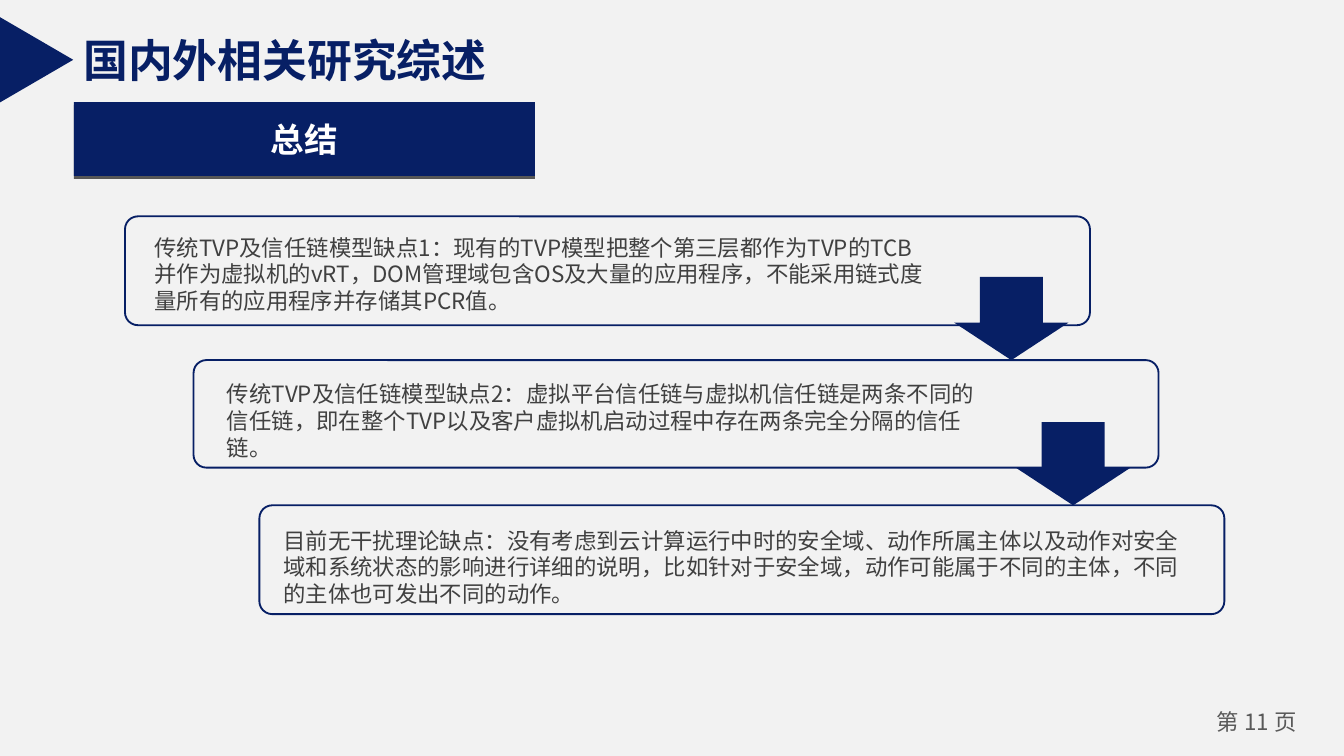
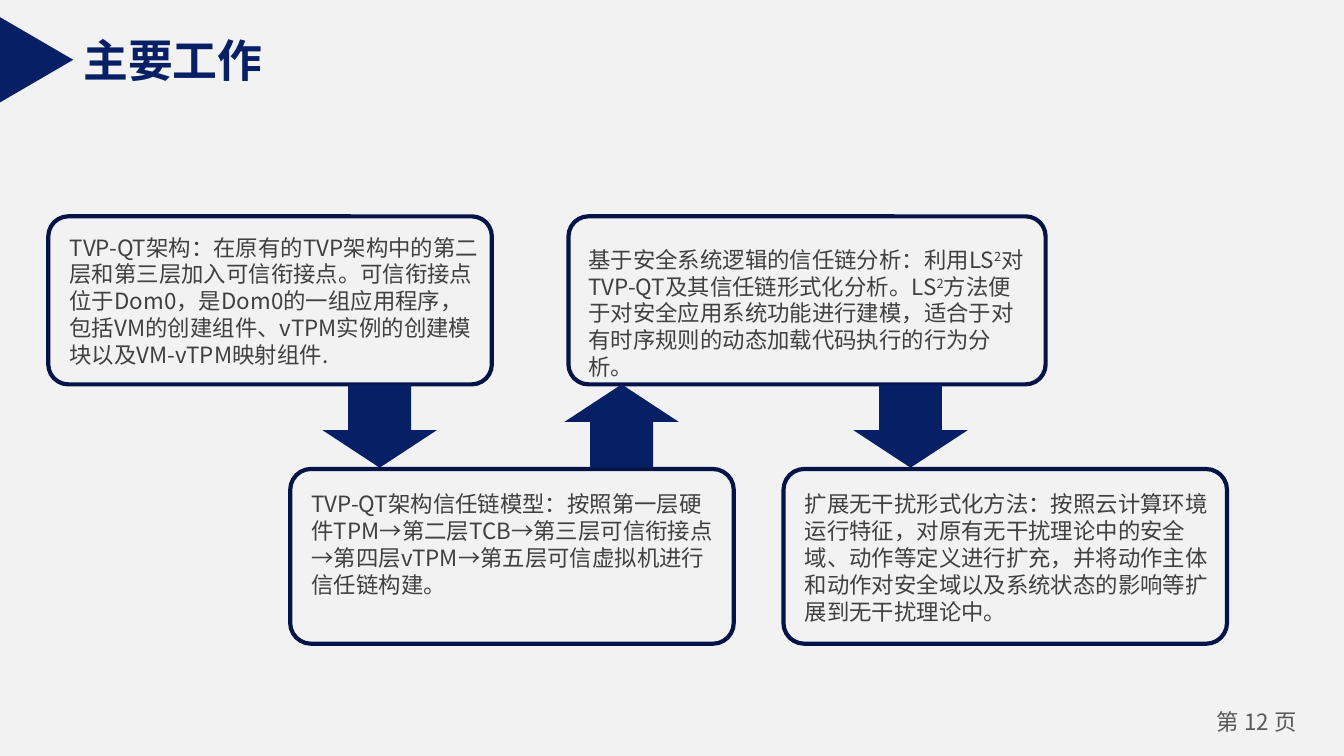
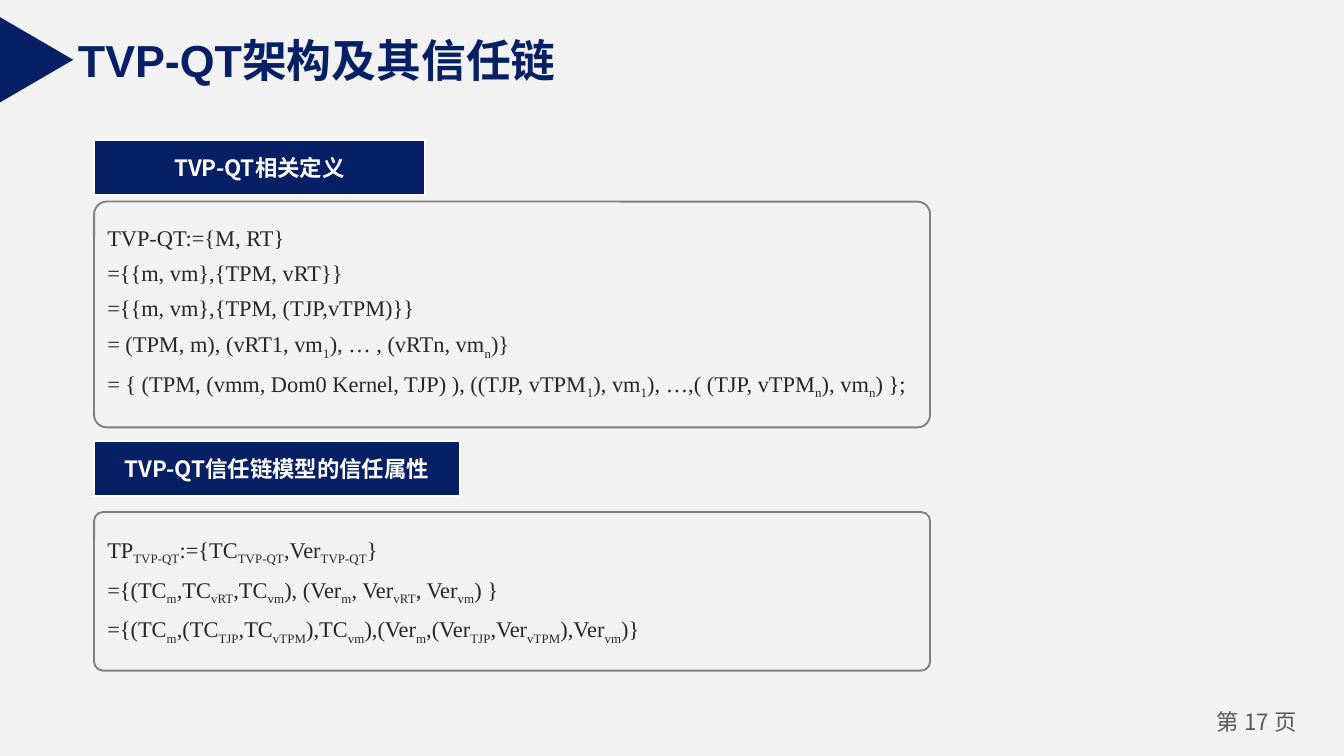
"""Build three slides on trust chain research."""
from lxml.etree import SubElement
from pptx import Presentation
from pptx.dml.color import RGBColor
from pptx.enum.shapes import MSO_SHAPE
from pptx.enum.text import MSO_ANCHOR, MSO_AUTO_SIZE, PP_ALIGN
from pptx.oxml.ns import qn
from pptx.util import Inches, Pt

HUES = {"navy": "071F65", "dark": "041448", "pale": "F2F2F2", "white": "FFFFFF",
        "body": "404040", "ink": "262626", "gray": "7F7F7F", "page": "595959"}
HUES = {name: RGBColor.from_string(code) for name, code in HUES.items()}
SANS = "Noto Sans CJK SC"


def draw(slide, kind, box, fill=None, line=None, width=1, adjs=()):
    shape = slide.shapes.add_shape(kind, *map(Inches, box))
    shape.shadow.inherit = False
    if fill:
        shape.fill.solid()
        shape.fill.fore_color.rgb = HUES[fill]
    else:
        shape.fill.background()
    if line:
        shape.line.color.rgb = HUES[line]
        shape.line.width = Pt(width)
    else:
        shape.line.fill.background()
    for i, adj in enumerate(adjs):
        shape.adjustments[i] = adj
    return shape


def write(shape, text, hue="body", size=12, font=SANS, bold=False,
          align=PP_ALIGN.LEFT, shift=0):
    """Set the text; parts between bars are raised or lowered by shift."""
    frame = shape.text_frame
    frame.word_wrap = True
    frame.text = text.replace("|", "")
    for para, row in zip(frame.paragraphs, text.split("\n")):
        para.alignment = align
        para._p.get_or_add_pPr().set("hangingPunct", "0")
        parts = row.split("|")
        para.text = parts[0]
        for part in parts[1:]:
            para.add_run().text = part
        for i, run in enumerate(para.runs):
            run.font.size, run.font.bold = Pt(size), bold
            run.font.name = font
            run.font.color.rgb = HUES[hue]
            props = run.font._element
            SubElement(props, qn("a:ea"), typeface=SANS)
            if i % 2:
                props.set("baseline", str(shift * 1000))
    return frame


deck = Presentation()
deck.slide_width = Inches(10)
deck.slide_height = deck.slide_width * 9 // 16
back = deck.slide_master.background.fill
back.solid()
back.fore_color.rgb = HUES["pale"]

heads = [("国内外相关研究综述", 0.52, 3.3, 11), ("主要工作", 0.52, 1.63, 12),
         ("TVP-QT架构及其信任链", 0.48, 3.9, 17)]
for text, left, width, page in heads:
    slide = deck.slides.add_slide(deck.slide_layouts[5])
    title = slide.shapes.title
    title.left, title.top = Inches(left), Inches(0.19)
    title.width, title.height = Inches(width), Inches(0.5)
    frame = write(title, text, "navy", 24, "Arial", True)
    frame.word_wrap = False
    frame.auto_size = MSO_AUTO_SIZE.SHAPE_TO_FIT_TEXT
    frame.vertical_anchor = MSO_ANCHOR.TOP
    frame.paragraphs[0].space_before = Pt(6)
    mark = draw(slide, MSO_SHAPE.ISOSCELES_TRIANGLE, (-0.05, 0.17, 0.64, 0.55), "navy")
    mark.rotation = 90
    foot = slide.shapes.add_textbox(*map(Inches, (8.9, 5.23, 0.9, 0.3)))
    frame = write(foot, f"第 {page} 页", "page", align=PP_ALIGN.CENTER)
    frame.margin_left = frame.margin_right = Inches(0.08)
    frame.margin_top = frame.margin_bottom = Inches(0.04)

past, work, defs = deck.slides

band = draw(past, MSO_SHAPE.RECTANGLE, (0.55, 0.76, 3.43, 0.55), "navy")
write(band, "总结", "white", 18, bold=True, align=PP_ALIGN.CENTER)
band.text_frame.vertical_anchor = MSO_ANCHOR.MIDDLE
glow = SubElement(band._element.spPr.find(qn("a:effectLst")), qn("a:outerShdw"),
                  blurRad="0", dist=str(Pt(1.5)), dir="5400000", rotWithShape="0")
tint = SubElement(glow, qn("a:srgbClr"), val="000000")
SubElement(tint, qn("a:alpha"), val="63000")

cards = [
    (past, (0.93, 1.61, 7.18, 0.81), (1.05, 1.69, 5.94, 0.7),
     "传统TVP及信任链模型缺点1：现有的TVP模型把整个第三层都作为TVP的TCB并作为虚拟机的vRT，"
     "DOM管理域包含OS及大量的应用程序，不能采用链式度量所有的应用程序并存储其PCR值。"),
    (past, (1.44, 2.68, 7.18, 0.8), (1.59, 2.78, 5.91, 0.5),
     "传统TVP及信任链模型缺点2：虚拟平台信任链与虚拟机信任链是两条不同的信任链，"
     "即在整个TVP以及客户虚拟机启动过程中存在两条完全分隔的信任链。"),
    (past, (1.93, 3.76, 7.18, 0.81), (2.01, 3.87, 6.96, 0.7),
     "目前无干扰理论缺点：没有考虑到云计算运行中时的安全域、动作所属主体以及动作对安全域和系统状态的影响"
     "进行详细的说明，比如针对于安全域，动作可能属于不同的主体，不同的主体也可发出不同的动作。"),
    (work, (0.36, 1.61, 3.3, 1.25), (0.42, 1.69, 3.24, 1.1),
     "TVP-QT架构：在原有的TVP架构中的第二层和第三层加入可信衔接点。可信衔接点位于Dom0，"
     "是Dom0的一组应用程序，包括VM的创建组件、vTPM实例的创建模块以及VM-vTPM映射组件."),
    (work, (2.16, 3.49, 3.3, 1.3), (2.22, 3.6, 3.24, 0.9),
     "TVP-QT架构信任链模型：按照第一层硬件TPM→第二层TCB→第三层可信衔接点→第四层vTPM→"
     "第五层可信虚拟机进行信任链构建。"),
    (work, (4.23, 1.61, 3.55, 1.25), (4.28, 1.78, 3.49, 1.1),
     "基于安全系统逻辑的信任链分析：利用LS|2|对TVP-QT及其信任链形式化分析。LS|2|"
     "方法便于对安全应用系统功能进行建模，适合于对有时序规则的动态加载代码执行的行为分析。"),
    (work, (5.83, 3.49, 3.3, 1.3), (5.89, 3.6, 3.24, 1.1),
     "扩展无干扰形式化方法：按照云计算环境运行特征，对原有无干扰理论中的安全域、动作等定义进行扩充，"
     "并将动作主体和动作对安全域以及系统状态的影响等扩展到无干扰理论中。"),
]
for slide, box, area, text in cards:
    line, width = ("navy", 1) if slide is past else ("dark", 2.25)
    draw(slide, MSO_SHAPE.ROUNDED_RECTANGLE, box, "pale", line, width, [0.119])
    note = slide.shapes.add_textbox(*map(Inches, area))
    frame = write(note, text, shift=30)
    frame.auto_size = MSO_AUTO_SIZE.SHAPE_TO_FIT_TEXT

arrows = [(past, 7.1, 2.06, 0), (past, 7.56, 3.14, 0),
          (work, 2.4, 2.86, 0), (work, 4.2, 2.86, 180), (work, 6.35, 2.86, 0)]
for slide, left, top, turn in arrows:
    arrow = draw(slide, MSO_SHAPE.DOWN_ARROW, (left, top, 0.85, 0.62), "navy",
                 adjs=[0.55, 0.45])
    arrow.rotation = turn

panels = [
    ("TVP-QT相关定义", 1.04, 2.46, 1.5, 1.68, 1.93,
     ["TVP-QT:={M, RT}",
      "={{m, vm},{TPM, vRT}}",
      "={{m, vm},{TPM, (TJP,vTPM)}}",
      "= (TPM, m), (vRT1, vm|1|), … , (vRTn, vm|n|)}",
      "= { (TPM, (vmm, Dom0 Kernel, TJP) ), ((TJP, vTPM|1|), vm|1|), "
      "…,( (TJP, vTPM|n|), vm|n|) };"]),
    ("TVP-QT信任链模型的信任属性", 3.28, 2.72, 3.81, 1.18, 1.19,
     ["TP|TVP-QT|:={TC|TVP-QT|,Ver|TVP-QT|}",
      "={(TC|m|,TC|vRT|,TC|vm|), (Ver|m|, Ver|vRT|, Ver|vm|) }",
      "={(TC|m|,(TC|TJP|,TC|vTPM|),TC|vm|),(Ver|m|,(Ver|TJP|,Ver|vTPM|),Ver|vm|)}"]),
]
for label, top, width, start, high, tall, rows in panels:
    draw(defs, MSO_SHAPE.ROUNDED_RECTANGLE, (0.7, start, 6.22, high),
         line="gray", adjs=[0.056])
    note = defs.shapes.add_textbox(*map(Inches, (0.7, start - 0.14, 6.64, tall)))
    frame = write(note, "\n".join(rows), "ink", font="Times New Roman", shift=-25)
    frame.margin_top = Inches(0.25)
    frame.auto_size = MSO_AUTO_SIZE.SHAPE_TO_FIT_TEXT
    for para in frame.paragraphs:
        para.line_spacing = 1.3
    draw(defs, MSO_SHAPE.RECTANGLE, (0.7, top, width, 0.41), "navy", "white")
    name = defs.shapes.add_textbox(*map(Inches, (0.7, top + 0.06, width, 0.3)))
    frame = write(name, label, "white", bold=True, align=PP_ALIGN.CENTER)
    frame.auto_size = MSO_AUTO_SIZE.SHAPE_TO_FIT_TEXT

deck.save("out.pptx")
